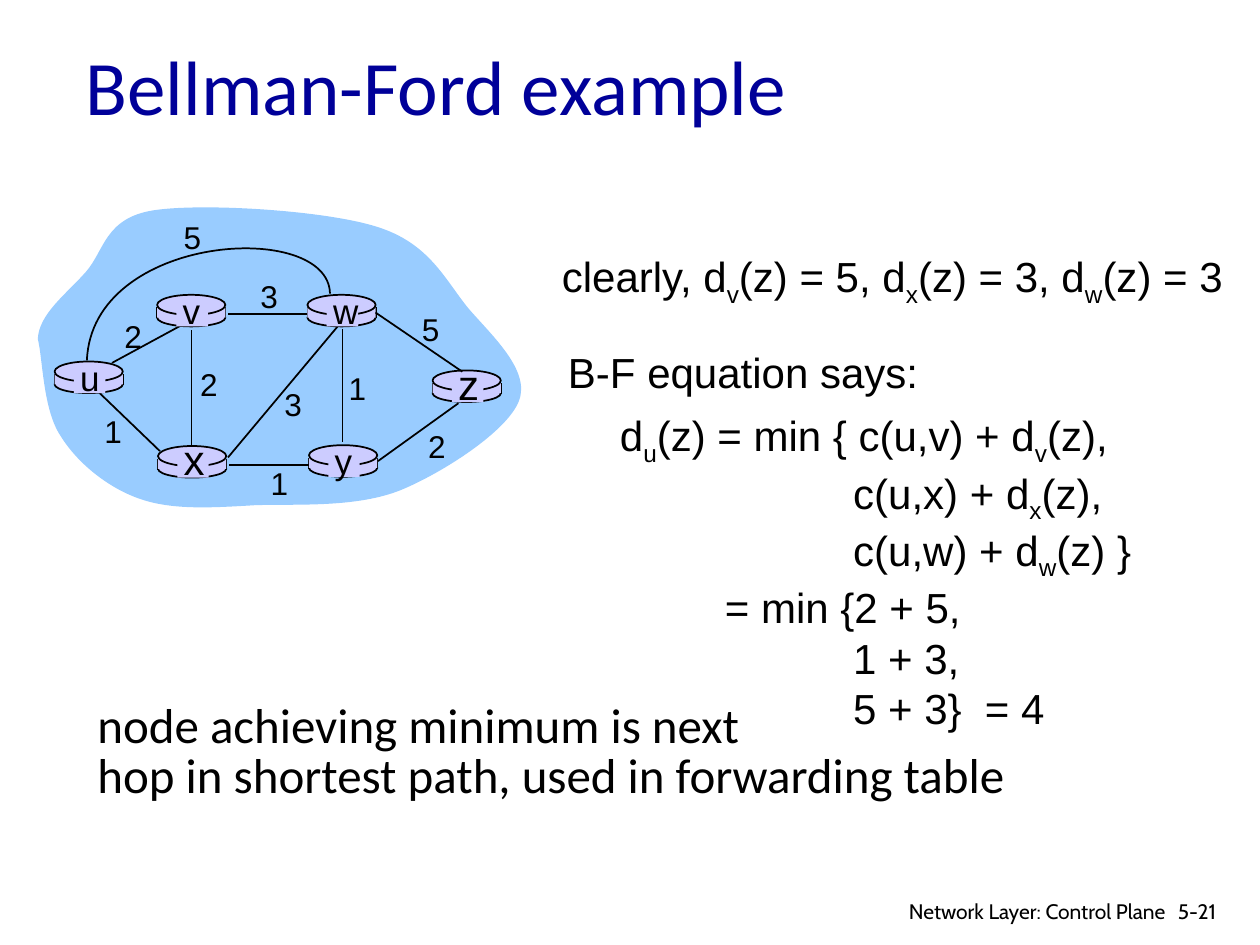
from lxml.etree import SubElement
from pptx import Presentation
from pptx.dml.color import RGBColor
from pptx.enum.shapes import MSO_CONNECTOR as Link, MSO_SHAPE as Preset
from pptx.enum.text import MSO_ANCHOR as Anchor, MSO_AUTO_SIZE as AutoSize, PP_ALIGN as Align
from pptx.oxml.ns import qn
from pptx.util import Pt

COLORS = {"title": "000099", "ink": "000000", "cloud": "99CCFF", "router": "CCCCFF"}
ARIAL_LARGE = {"name": "Arial", "size": Pt(24)}
CONCLUSION = {"name": "Calibri", "size": Pt(28)}
FOOTER = {"name": "Cabin", "size": Pt(12)}

DISC_WIDTH = 39
# node: left and top of the disc, letter size
ROUTERS = {
    "u": (31.2, 206.6, 20), "x": (90.3, 254.9, 24), "v": (89.8, 168.5, 20),
    "w": (175.7, 168.5, 20), "y": (176.6, 254.4, 20), "z": (247.2, 211.7, 24),
}
# ends of the straight link, then cost and the top left of its label
LINKS = [
    ((64, 207.4), (106.6, 184.3), "2", (64, 177.8)),
    ((195.8, 188), (195.8, 252.7), "1", (192.2, 207.4)),
    ((109.4, 188.6), (109.4, 255.6), "2", (107.3, 205.2)),
    ((130.3, 261.4), (193, 186.5), "3", (155.5, 216.7)),
    ((216, 263.5), (262, 230.4), "2", (237.6, 240.5)),
    ((176.4, 265.7), (131, 265.7), "1", (147.6, 261.4)),
    ((91.4, 257.8), (56.9, 224.6), "1", (52.6, 231.8)),
    ((175.7, 179.3), (130.3, 179.3), "3", (141.8, 154.8)),
    ((264.2, 212.4), (214.6, 178.6), "5", (234, 173.5)),
]
ARC_START = (188.6, 167.8)
ARC_CURVES = [((187.9, 125.3), (52.6, 133.2), (49.7, 205.9))]
ARC_COST_AT = (97.9, 121)
CLOUD_START = (21.6, 193.7)
CLOUD_CURVES = [
    ((22.3, 179.3), (38.2, 167.8), (49, 155.5)),
    ((59.8, 143.3), (59.8, 124.6), (87.8, 120.2)),
    ((115.9, 115.9), (185.8, 120.2), (215.3, 129.6)),
    ((245.5, 139), (254.2, 159.8), (267.8, 176.4)),
    ((281.5, 192.2), (303.1, 211.7), (296.6, 229)),
    ((290.2, 246.2), (253.4, 270), (229, 280.1)),
    ((203.8, 290.2), (170.6, 288), (146.2, 288.7)),
    ((121, 290.2), (98.6, 291.6), (79.9, 285.1)),
    ((61.2, 278.6), (43.9, 264.2), (34.6, 249.1)),
    ((24.5, 234), (24.5, 205.2), CLOUD_START),
]
# indent and text; an underscore lowers the next letter
EQUATION = [
    (0, "d_u(z) = min { c(u,v) + d_v(z),"),
    (133.3, "c(u,x) + d_x(z),"),
    (133.3, "c(u,w) + d_w(z) }"),
    (60, "= min {2 + 5,"),
    (133.3, "1 + 3,"),
    (133.3, "5 + 3}  = 4"),
]


def rgb(name):
    return RGBColor.from_string(COLORS[name])


def add_span(para, text, font, color="ink", lowered=False):
    span = para.add_run()
    span.text = text
    for key, value in font.items():
        setattr(span.font, key, value)
    span.font.color.rgb = rgb(color)
    if lowered:
        span._r.get_or_add_rPr().set("baseline", "-25000")


def add_text(page, place, lines, font, wrap=True, **para_format):
    """Add a text box from (indent, text) lines."""
    box = page.shapes.add_textbox(*map(Pt, place))
    frame = box.text_frame
    frame.word_wrap = wrap
    for number, (indent, text) in enumerate(lines):
        para = frame.add_paragraph() if number else frame.paragraphs[0]
        for key, value in para_format.items():
            setattr(para, key, value)
        if indent:
            para._p.get_or_add_pPr().set("marL", str(Pt(indent)))
        first, *others = text.split("_")
        add_span(para, first, font)
        for part in others:
            add_span(para, part[0], font, lowered=True)
            add_span(para, part[1:], font)


def paint(shape, fill=None, outlined=False):
    shape.shadow.inherit = False
    if fill:
        shape.fill.solid()
        shape.fill.fore_color.rgb = rgb(fill)
    else:
        shape.fill.background()
    if outlined:
        shape.line.color.rgb = rgb("ink")
        shape.line.width = Pt(1)
    else:
        shape.line.fill.background()


def add_curve(page, start, curves, close=False, **style):
    """Add an outline whose segments, three points each, are Bezier curves."""
    points = [tuple(map(Pt, point)) for curve in curves for point in curve]
    builder = page.shapes.build_freeform(*map(Pt, start))
    builder.add_line_segments(points, close=close)
    shape = builder.convert_to_shape()
    segments = list(shape._element.iter(qn("a:lnTo")))
    for first in range(0, len(points), 3):
        bezier, *rest = segments[first:first + 3]
        bezier.tag = qn("a:cubicBezTo")
        for segment in rest:
            bezier.append(segment[0])
            segment.getparent().remove(segment)
    paint(shape, **style)


def add_line(page, start, end):
    line = page.shapes.add_connector(Link.STRAIGHT, *map(Pt, start + end))
    line.line.color.rgb = rgb("ink")
    line.line.width = Pt(1)
    SubElement(line._element.spPr, qn("a:effectLst"))


def add_preset(page, kind, place, outlined=False):
    paint(page.shapes.add_shape(kind, *map(Pt, place)), "router", outlined)


def add_router(page, left, top):
    add_preset(page, Preset.OVAL, (left, top + 8, DISC_WIDTH, 10), True)
    for side in (left, left + DISC_WIDTH):
        add_line(page, (side, top + 7.2), (side, top + 13.5))
    add_preset(page, Preset.RECTANGLE, (left, top + 7.2, DISC_WIDTH, 5.8))
    add_preset(page, Preset.OVAL, (left, top, DISC_WIDTH, 11.5), True)


def add_letter(page, letter, left, top, size):
    add_preset(page, Preset.RECTANGLE, (left + 11, top + 1.5, 18, 16.6))
    add_text(page, (left + 7.5, top + 13.5 - size, 24, 31), [(0, letter)],
             {"name": "Arial", "size": Pt(size)}, wrap=False, alignment=Align.CENTER)


def add_cost(page, cost, corner):
    add_text(page, (*corner, 22.4, 28.8), [(0, cost)],
             {"name": "Arial", "size": Pt(18)}, wrap=False, alignment=Align.CENTER)


def add_network(page):
    network = page.shapes.add_group_shape()
    add_curve(network, CLOUD_START, CLOUD_CURVES, close=True, fill="cloud")
    for left, top, size in ROUTERS.values():
        add_router(network, left, top)
    for start, end, cost, corner in LINKS:
        add_line(network, start, end)
    add_curve(network, ARC_START, ARC_CURVES, outlined=True)
    for letter, spot in ROUTERS.items():
        add_letter(network, letter, *spot)
    for start, end, cost, corner in LINKS:
        add_cost(network, cost, corner)
    add_cost(network, "5", ARC_COST_AT)


def set_title(page, text):
    title = page.shapes.title
    place = {"left": 41.8, "top": 13.7, "width": 612, "height": 69}
    for key, value in place.items():
        setattr(title, key, Pt(value))
    frame = title.text_frame
    frame.auto_size = AutoSize.NONE
    frame.vertical_anchor = Anchor.MIDDLE
    para = frame.paragraphs[0]
    para.alignment = Align.LEFT
    add_span(para, text, {"name": "Calibri", "size": Pt(44)}, "title")


def main():
    deck = Presentation()
    deck.slide_width, deck.slide_height = Pt(720), Pt(540)
    page = deck.slides.add_slide(deck.slide_layouts[5])
    set_title(page, "Bellman-Ford example")
    add_network(page)
    add_text(page, (314, 139.7, 404, 39.6),
             [(0, "clearly, d_v(z) = 5, d_x(z) = 3, d_w(z) = 3")], ARIAL_LARGE)
    add_text(page, (347.2, 230.6, 330, 191.5), EQUATION, ARIAL_LARGE)
    add_text(page, (48.6, 398.6, 550, 64),
             [(0, "node achieving minimum is next"),
              (0, "hop in shortest path, used in forwarding table")],
             CONCLUSION, line_spacing=0.85)
    add_text(page, (317.5, 194.4, 230, 36), [(0, "B-F equation says:")], ARIAL_LARGE)
    add_text(page, (666, 509.8, 43.2, 21.6), [(0, "5-21")], FOOTER)
    add_text(page, (501.8, 509.8, 171.4, 18.7),
             [(0, "Network Layer: Control Plane")], FOOTER, alignment=Align.RIGHT)
    deck.save("out.pptx")


if __name__ == "__main__":
    main()
